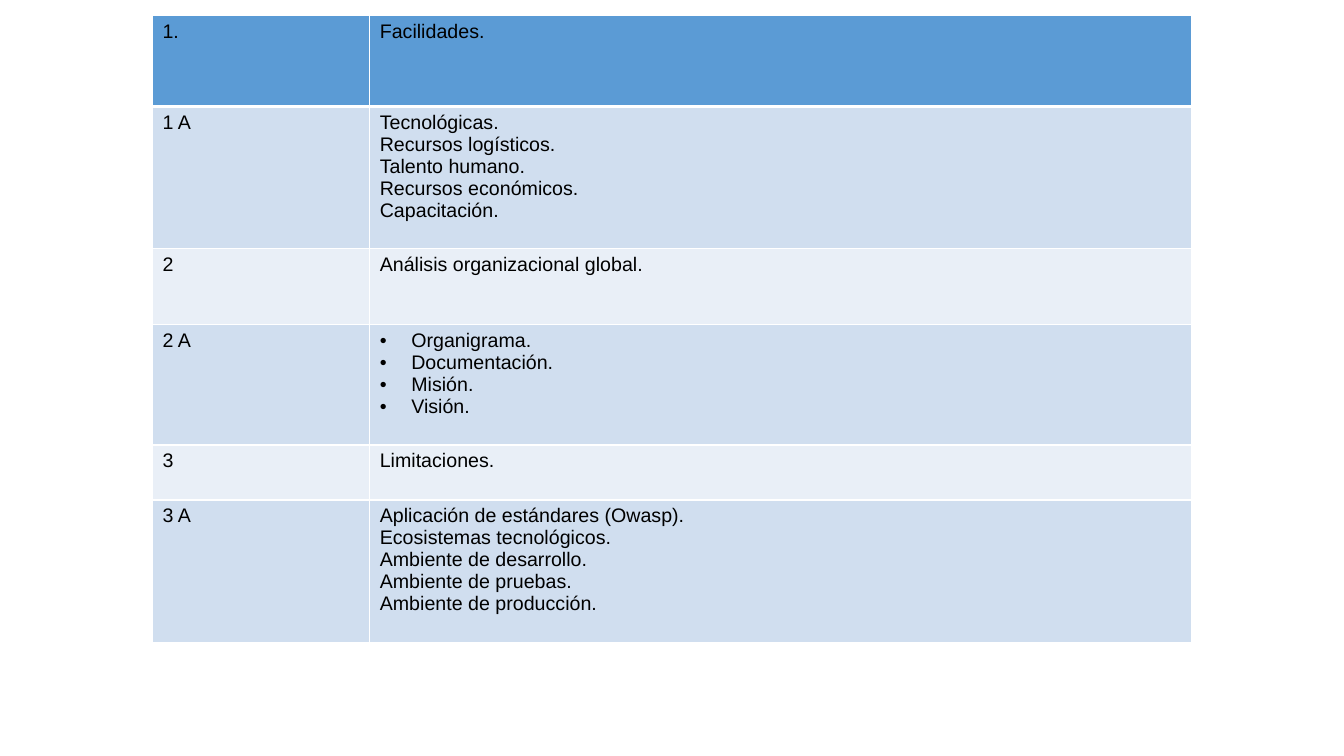
from dataclasses import dataclass

from lxml import etree
from pptx import Presentation
from pptx import util as u
from pptx.dml.color import RGBColor
from pptx.oxml import ns
from pptx.table import _Cell
from pptx.text.text import _Paragraph

BLUE = RGBColor(0x5B, 0x9B, 0xD5)
MEDIUM = RGBColor(0xD0, 0xDE, 0xEF)
LIGHT = RGBColor(0xE9, 0xEF, 0xF7)
BLACK = RGBColor(0, 0, 0)
WHITE = RGBColor(0xFF, 0xFF, 0xFF)

COLUMN_WIDTHS = (155.2, 587)
BULLET_INDENT = u.Pt(22.5)


@dataclass(frozen=True)
class Section:
    number: str
    items: tuple[str, ...]
    height: float
    bulleted: bool = False


SECTIONS = (
    Section("1.", ("Facilidades.",), 64.8),
    Section("1 A", ("Tecnológicas.", "Recursos logísticos.", "Talento humano.",
                    "Recursos económicos.", "Capacitación."), 101.7),
    Section("2", ("Análisis organizacional global.",), 54.1),
    Section("2 A", ("Organigrama.", "Documentación.", "Misión.", "Visión."), 86, True),
    Section("3", ("Limitaciones.",), 39.3),
    Section("3 A", ("Aplicación de estándares (Owasp).", "Ecosistemas tecnológicos.",
                    "Ambiente de desarrollo.", "Ambiente de pruebas.",
                    "Ambiente de producción."), 101.7),
)


def add_borders(cell: _Cell, top: float, bottom: float) -> None:
    properties = cell._tc.get_or_add_tcPr()
    for side, width in (("L", 1), ("R", 1), ("T", top), ("B", bottom)):
        line = etree.SubElement(properties, ns.qn(f"a:ln{side}"), w=str(u.Pt(width)))
        fill = etree.SubElement(line, ns.qn("a:solidFill"))
        etree.SubElement(fill, ns.qn("a:srgbClr"), val=str(WHITE))


def add_bullet(para: _Paragraph) -> None:
    properties = para._p.get_or_add_pPr()
    properties.set("marL", str(BULLET_INDENT))
    properties.set("indent", str(-BULLET_INDENT))
    etree.SubElement(properties, ns.qn("a:buFont"), typeface="Arial")
    etree.SubElement(properties, ns.qn("a:buChar"), char="•")


def fill_cell(cell: _Cell, lines: tuple[str, ...], color: RGBColor, bulleted: bool) -> None:
    cell.fill.solid()
    cell.fill.fore_color.rgb = color
    cell.margin_left = cell.margin_right = u.Pt(7.2)
    cell.margin_top = cell.margin_bottom = u.Pt(3.6)
    cell.text_frame.text = "\n".join(lines)
    for para in cell.text_frame.paragraphs:
        if bulleted:
            add_bullet(para)
        for span in para.runs:
            span.font.name = "Arial"
            span.font.size = u.Pt(14)
            span.font.bold = False
            span.font.color.rgb = BLACK


def main() -> None:
    deck = Presentation()
    deck.slide_width, deck.slide_height = u.Pt(960), u.Pt(540)
    page = deck.slides.add_slide(deck.slide_layouts[6])
    height = sum(section.height for section in SECTIONS)
    table = page.shapes.add_table(
        len(SECTIONS), len(COLUMN_WIDTHS), u.Pt(108.9), u.Pt(11.3),
        u.Pt(sum(COLUMN_WIDTHS)), u.Pt(height)).table
    for column, width in zip(table.columns, COLUMN_WIDTHS):
        column.width = u.Pt(width)
    for index, (row, section) in enumerate(zip(table.rows, SECTIONS)):
        row.height = u.Pt(section.height)
        color = BLUE if index == 0 else MEDIUM if index % 2 else LIGHT
        number_cell, items_cell = row.cells
        for cell in (number_cell, items_cell):
            add_borders(cell, 3 if index == 1 else 1, 3 if index == 0 else 1)
        fill_cell(number_cell, (section.number,), color, False)
        fill_cell(items_cell, section.items, color, section.bulleted)
    deck.save("out.pptx")


if __name__ == "__main__":
    main()
